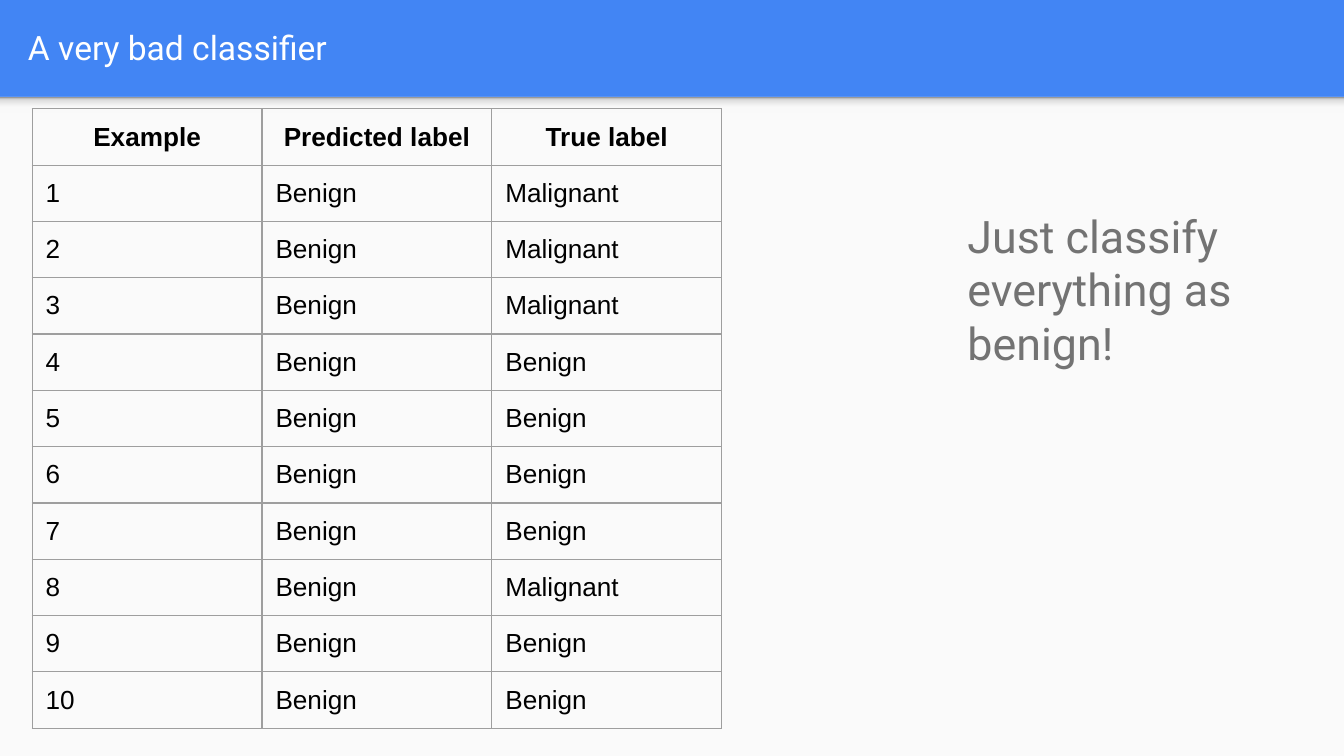
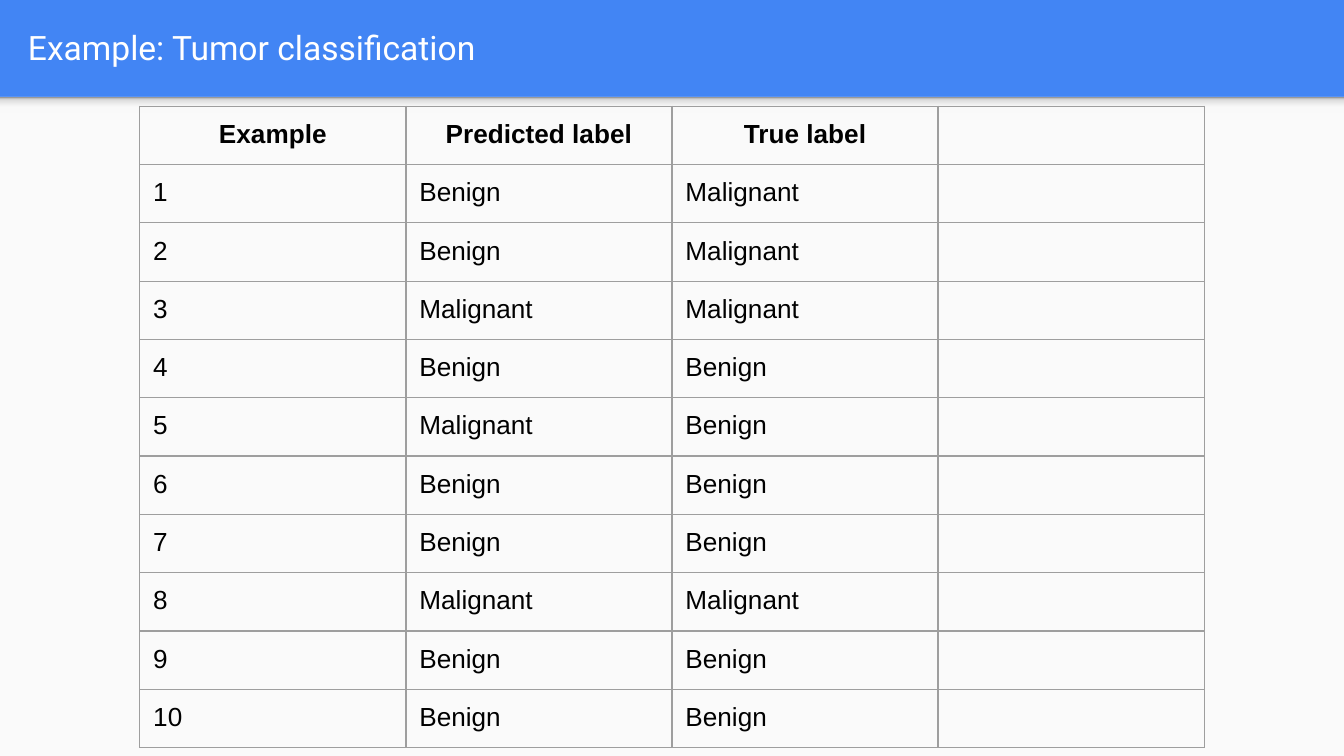
import copy

import pptx
import pptx.util
import pptx.dml.color
import pptx.enum.shapes
import pptx.enum.text
import pptx.oxml
import pptx.oxml.ns

Inches, Pt = pptx.util.Inches, pptx.util.Pt
RGBColor = pptx.dml.color.RGBColor
RECT = pptx.enum.shapes.MSO_SHAPE.RECTANGLE
MIDDLE = pptx.enum.text.MSO_ANCHOR.MIDDLE
CENTER = pptx.enum.text.PP_ALIGN.CENTER
qn = pptx.oxml.ns.qn

BLUE = RGBColor(0x42, 0x85, 0xF4)
PAPER = RGBColor(0xFA, 0xFA, 0xFA)
WHITE = RGBColor(0xFF, 0xFF, 0xFF)
BLACK = RGBColor(0, 0, 0)
GREY = RGBColor(0x73, 0x73, 0x73)
RULE = RGBColor(0x9E, 0x9E, 0x9E)
PALE = RGBColor(0xF9, 0xF9, 0xF9)
SHADE = [(0, PALE), (0.36, PALE), (0.8, RGBColor(0xDE, 0xDE, 0xDE)),
         (1, RGBColor(0x99, 0x99, 0x99))]

WIDE = Inches(10)
HIGH = WIDE * 9 // 16
HEAD = Inches(0.72)
PAD = Inches(0.1)
ROW = Inches(0.31)

HEADS = ["Example", "Predicted label", "True label"]
COUNT = 10
TRUE = {1, 2, 3, 8}
# title, malignant predictions, columns, table left, top and column width, remark
SLIDES = [
    ("A very bad classifier", set(), 3, 0.24, 0.81, 1.71,
     "Just classify everything as benign!"),
    ("Example: Tumor classification", {3, 5, 8}, 4, 1.04, 0.79, 1.98, None),
]


def style(part, text, size, face, color):
    """Fill a text box or table cell with one padded paragraph."""
    frame = part.text_frame
    frame.text = text
    frame.word_wrap = True
    box = part if hasattr(part, "is_spanned") else frame
    box.margin_left = box.margin_right = PAD
    box.margin_top = box.margin_bottom = PAD
    font = frame.paragraphs[0].runs[0].font
    font.size, font.name, font.color.rgb = Pt(size), face, color
    return frame


def border(cell):
    props = cell._tc.get_or_add_tcPr()
    for spot, side in enumerate("LRTB"):
        line = pptx.oxml.parse_xml(
            f'<a:ln{side} {pptx.oxml.ns.nsdecls("a")} w="{Pt(0.75)}">'
            f'<a:solidFill><a:srgbClr val="{RULE}"/></a:solidFill></a:ln{side}>')
        props.insert(spot, line)


deck = pptx.Presentation()
deck.slide_width, deck.slide_height = WIDE, HIGH

for title, guess, cols, left, top, width, remark in SLIDES:
    slide = deck.slides.add_slide(deck.slide_layouts[6])
    slide.background.fill.solid()
    slide.background.fill.fore_color.rgb = BLUE
    shapes = slide.shapes

    # Paper sheet and the shadow that the title band casts on it
    sheet = shapes.add_shape(RECT, 0, HEAD, WIDE, HIGH - HEAD)
    sheet.fill.solid()
    sheet.fill.fore_color.rgb = PAPER
    edge = shapes.add_shape(RECT, 0, HEAD, WIDE, Inches(0.12))
    edge.fill.gradient()
    edge.fill.gradient_angle = 90
    stops = next(edge.element.iter(qn("a:gsLst")))
    for stop in list(stops):
        stops.append(copy.deepcopy(stop))
    for stop, (place, color) in zip(edge.fill.gradient_stops, SHADE):
        stop.position, stop.color.rgb = place, color
    for shape in (sheet, edge):
        shape.line.fill.background()
        shape.shadow.inherit = False

    # Table of labels
    rows = [HEADS]
    for case in range(1, COUNT + 1):
        rows.append([str(case)] + ["Malignant" if case in bad else "Benign"
                                   for bad in (guess, TRUE)])
    frame = shapes.add_table(len(rows), cols, Inches(left), Inches(top),
                             Inches(width) * cols, ROW * len(rows))
    table = frame.table
    table.first_row = table.horz_banding = False
    for r, row in enumerate(rows):
        table.rows[r].height = ROW
        for c in range(cols):
            cell = table.cell(r, c)
            cell.fill.background()
            border(cell)
            if c < len(row):
                para = style(cell, row[c], 14, "Arial", BLACK).paragraphs[0]
                para.runs[0].font.bold = r == 0
                if r == 0:
                    para.alignment = CENTER
    frame.height = Inches(4.77)

    box = shapes.add_textbox(Inches(0.11), Inches(0.02), Inches(9.65), Inches(0.66))
    style(box, title, 18, "Roboto", WHITE).vertical_anchor = MIDDLE
    if remark:
        note = shapes.add_textbox(Inches(7.1), Inches(1.45), Inches(2.66), Inches(2.43))
        style(note, remark, 24, "Roboto", GREY)

deck.save("out.pptx")
